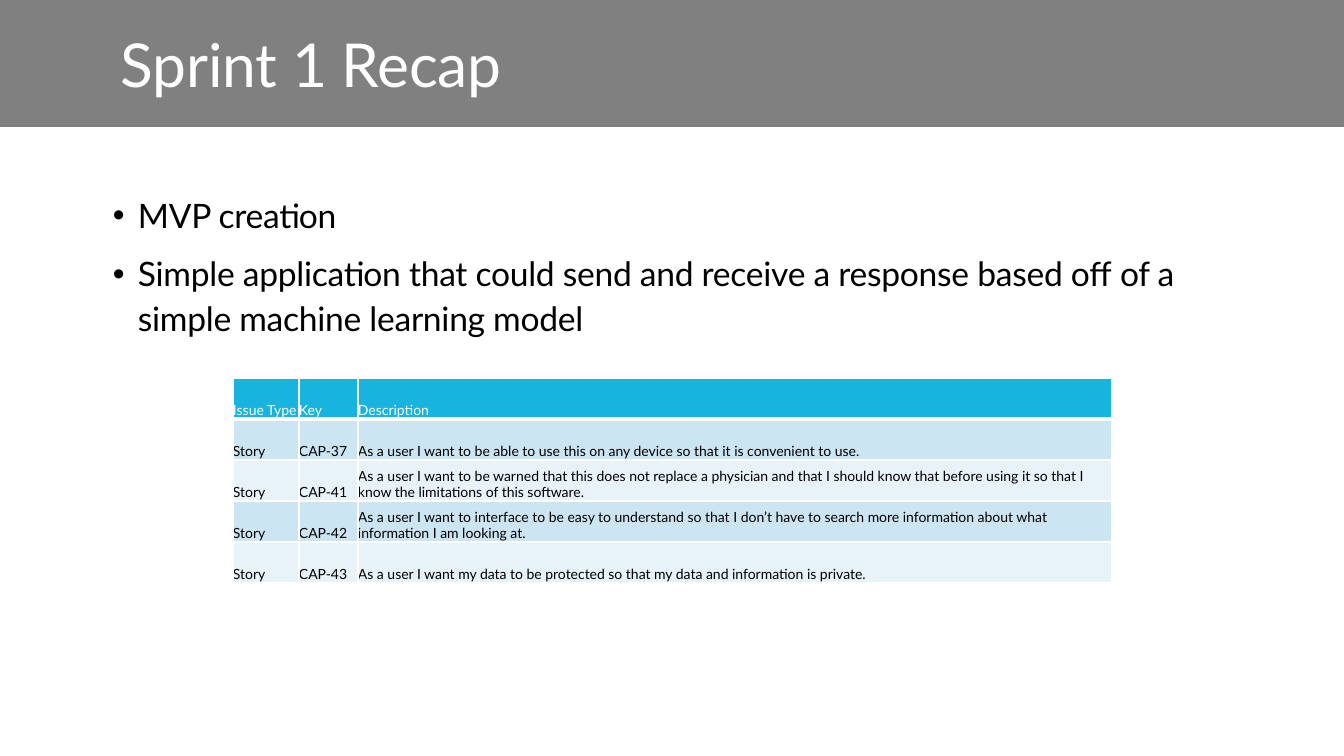
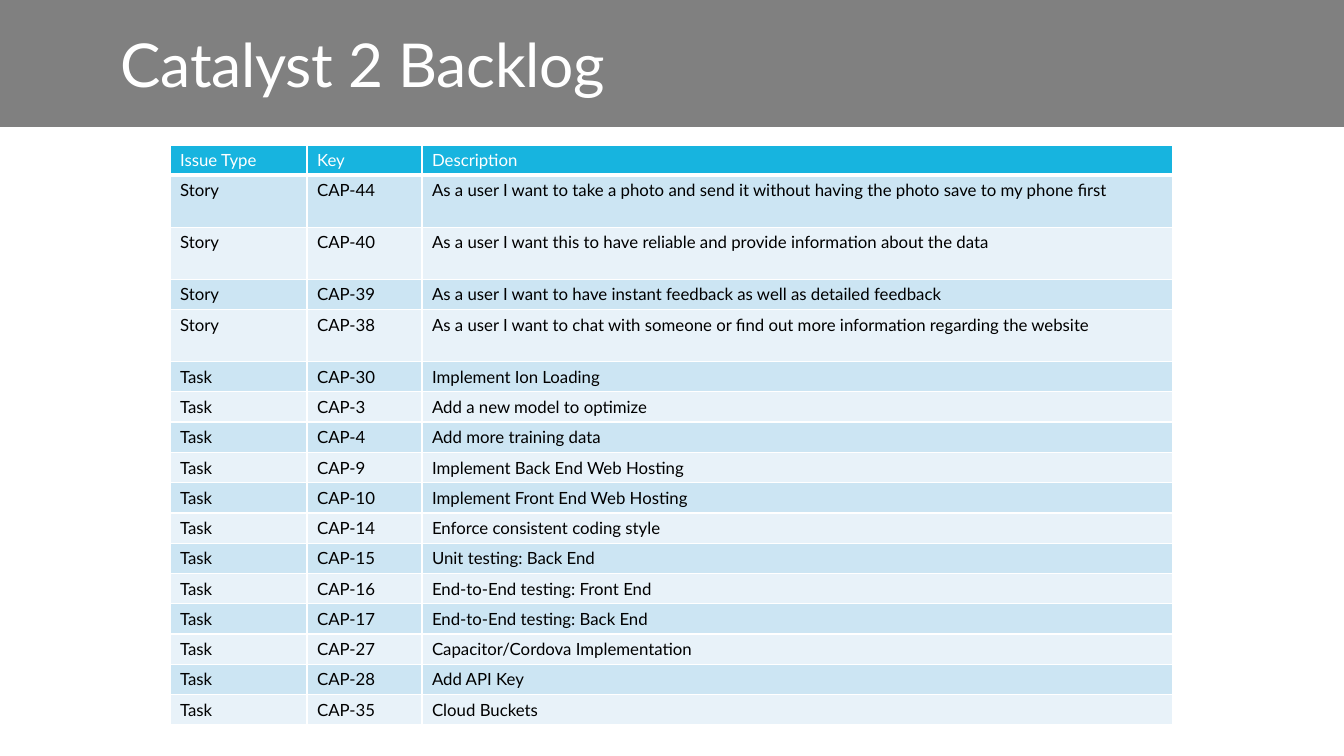
from dataclasses import dataclass

from lxml import etree
from pptx import Presentation
from pptx.dml.color import RGBColor
from pptx.enum.shapes import MSO_SHAPE
from pptx.enum.text import MSO_ANCHOR
from pptx.oxml.ns import qn
from pptx.util import Emu, Pt

RECTANGLE = MSO_SHAPE.RECTANGLE
TOP = MSO_ANCHOR.TOP
MIDDLE = MSO_ANCHOR.MIDDLE
BOTTOM = MSO_ANCHOR.BOTTOM

PX_PER_INCH = 100.8
SLIDE_WIDTH = 1344
SLIDE_HEIGHT = 756
BLANK_LAYOUT = 6


@dataclass(frozen=True)
class Theme:
    font: str = "Lato"
    band: str = "808080"
    light: str = "FFFFFF"
    dark: str = "000000"
    header: str = "17B4DF"
    stripes: tuple = ("CCE5F3", "E8F2F9")
    title_size: float = 43.2
    body_size: float = 24
    small_size: float = 10
    table_size: float = 12
    tracking: float = -0.2
    border: float = 1
    header_border: float = 3


THEME = Theme()

HEADINGS = ("Issue Type", "Key", "Description")
RECAP_POINTS = (
    "MVP creation",
    "Simple application that could send and receive a response based off of a "
    "simple machine learning model",
)
RECAP_ROWS = (
    ("Story", "CAP-37", "As a user I want to be able to use this on any device so that it is "
     "convenient to use."),
    ("Story", "CAP-41", "As a user I want to be warned that this does not replace a physician and "
     "that I should know that before using it so that I know the limitations of this software."),
    ("Story", "CAP-42", "As a user I want to interface to be easy to understand so that I don’t "
     "have to search more information about what information I am looking at."),
    ("Story", "CAP-43", "As a user I want my data to be protected so that my data and information "
     "is private."),
)
BACKLOG_ROWS = (
    ("Story", "CAP-44", "As a user I want to take a photo and send it without having the photo "
     "save to my phone first"),
    ("Story", "CAP-40", "As a user I want this to have reliable and provide information about "
     "the data"),
    ("Story", "CAP-39", "As a user I want to have instant feedback as well as detailed feedback"),
    ("Story", "CAP-38", "As a user I want to chat with someone or find out more information "
     "regarding the website"),
    ("Task", "CAP-30", "Implement Ion Loading"),
    ("Task", "CAP-3", "Add a new model to optimize"),
    ("Task", "CAP-4", "Add more training data"),
    ("Task", "CAP-9", "Implement Back End Web Hosting"),
    ("Task", "CAP-10", "Implement Front End Web Hosting"),
    ("Task", "CAP-14", "Enforce consistent coding style"),
    ("Task", "CAP-15", "Unit testing: Back End"),
    ("Task", "CAP-16", "End-to-End testing: Front End"),
    ("Task", "CAP-17", "End-to-End testing: Back End"),
    ("Task", "CAP-27", "Capacitor/Cordova Implementation"),
    ("Task", "CAP-28", "Add API Key"),
    ("Task", "CAP-35", "Cloud Buckets"),
)
TALL_BACKLOG_KEYS = ("CAP-44", "CAP-40", "CAP-38")


def px(value):
    return Emu(round(value * 914400 / PX_PER_INCH))


def color(value):
    return RGBColor.from_string(value)


def add_run(paragraph, text, size, text_color, tracking=0):
    run = paragraph.add_run()
    run.text = text
    run.font.name = THEME.font
    run.font.size = Pt(size)
    run.font.bold = False
    run.font.color.rgb = color(text_color)
    if tracking:
        run.font._element.set("spc", str(round(tracking * 100)))


def add_text_frame(slide, left, top, width, height, anchor):
    text_box = slide.shapes.add_textbox(px(left), px(top), px(width), px(height))
    text_frame = text_box.text_frame
    text_frame.word_wrap = True
    text_frame.vertical_anchor = anchor
    return text_frame


def add_titled_slide(presentation, title):
    slide = presentation.slides.add_slide(presentation.slide_layouts[BLANK_LAYOUT])
    band = slide.shapes.add_shape(RECTANGLE, 0, 0, px(SLIDE_WIDTH), px(127))
    band.shadow.inherit = False
    band.fill.solid()
    band.fill.fore_color.rgb = color(THEME.band)
    band.line.fill.background()
    text_frame = add_text_frame(slide, 111, 21, 1038, 85, MIDDLE)
    add_run(text_frame.paragraphs[0], title, THEME.title_size, THEME.light, THEME.tracking)
    return slide


def add_bullet(paragraph):
    properties = paragraph._p.get_or_add_pPr()
    indent = px(25)
    properties.set("marL", str(indent))
    properties.set("indent", str(-indent))
    etree.SubElement(properties, qn("a:buFont"), typeface="Arial")
    etree.SubElement(properties, qn("a:buChar"), char="•")


def add_bullets(slide, points, left, top, width, height):
    text_frame = add_text_frame(slide, left, top, width, height, TOP)
    for index, point in enumerate(points):
        paragraph = text_frame.add_paragraph() if index else text_frame.paragraphs[0]
        add_bullet(paragraph)
        paragraph.line_spacing = 1.1
        if index:
            paragraph.space_before = Pt(10)
        add_run(paragraph, point, THEME.body_size, THEME.dark, THEME.tracking)


def set_borders(cell, top, bottom):
    properties = cell._tc.get_or_add_tcPr()
    widths = {"lnL": THEME.border, "lnR": THEME.border, "lnT": top, "lnB": bottom}
    for tag, width in widths.items():
        line = etree.SubElement(properties, qn(f"a:{tag}"), w=str(Pt(width)))
        fill = etree.SubElement(line, qn("a:solidFill"))
        etree.SubElement(fill, qn("a:srgbClr"), val=THEME.light)


def style_cell(cell, row_index):
    set_borders(
        cell,
        THEME.header_border if row_index == 1 else THEME.border,
        THEME.header_border if row_index == 0 else THEME.border,
    )
    cell.fill.solid()
    stripe = THEME.stripes[(row_index - 1) % 2]
    cell.fill.fore_color.rgb = color(stripe if row_index else THEME.header)


def remove_margins(cell):
    cell.margin_left = cell.margin_right = cell.margin_top = cell.margin_bottom = 0


def add_issue_table(slide, issues, left, top, widths, heights, size, compact=False):
    rows = (HEADINGS, *issues)
    table = slide.shapes.add_table(
        len(rows), len(widths), px(left), px(top), px(sum(widths)), px(sum(heights))
    ).table
    table.horz_banding = False
    for column, width in zip(table.columns, widths):
        column.width = px(width)
    for row_index, (values, height) in enumerate(zip(rows, heights)):
        table.rows[row_index].height = px(height)
        for column_index, value in enumerate(values):
            cell = table.cell(row_index, column_index)
            style_cell(cell, row_index)
            cell.vertical_anchor = BOTTOM if compact else TOP
            if compact:
                remove_margins(cell)
            text_color = THEME.dark if row_index else THEME.light
            add_run(cell.text_frame.paragraphs[0], value, size, text_color)


def build_recap(presentation):
    slide = add_titled_slide(presentation, "Sprint 1 Recap")
    add_bullets(slide, RECAP_POINTS, 103, 186, 1139, 476)
    heights = [41] * (len(RECAP_ROWS) + 1)
    add_issue_table(
        slide, RECAP_ROWS, 233, 378, (66, 59, 754), heights, THEME.small_size, compact=True
    )


def build_backlog(presentation):
    slide = add_titled_slide(presentation, "Catalyst 2 Backlog")
    heights = [30] + [52 if key in TALL_BACKLOG_KEYS else 30 for _, key, _ in BACKLOG_ROWS]
    add_issue_table(slide, BACKLOG_ROWS, 170, 145, (137, 115, 751), heights, THEME.table_size)


def main():
    presentation = Presentation()
    presentation.slide_width = px(SLIDE_WIDTH)
    presentation.slide_height = px(SLIDE_HEIGHT)
    build_recap(presentation)
    build_backlog(presentation)
    presentation.save("out.pptx")


if __name__ == "__main__":
    main()
